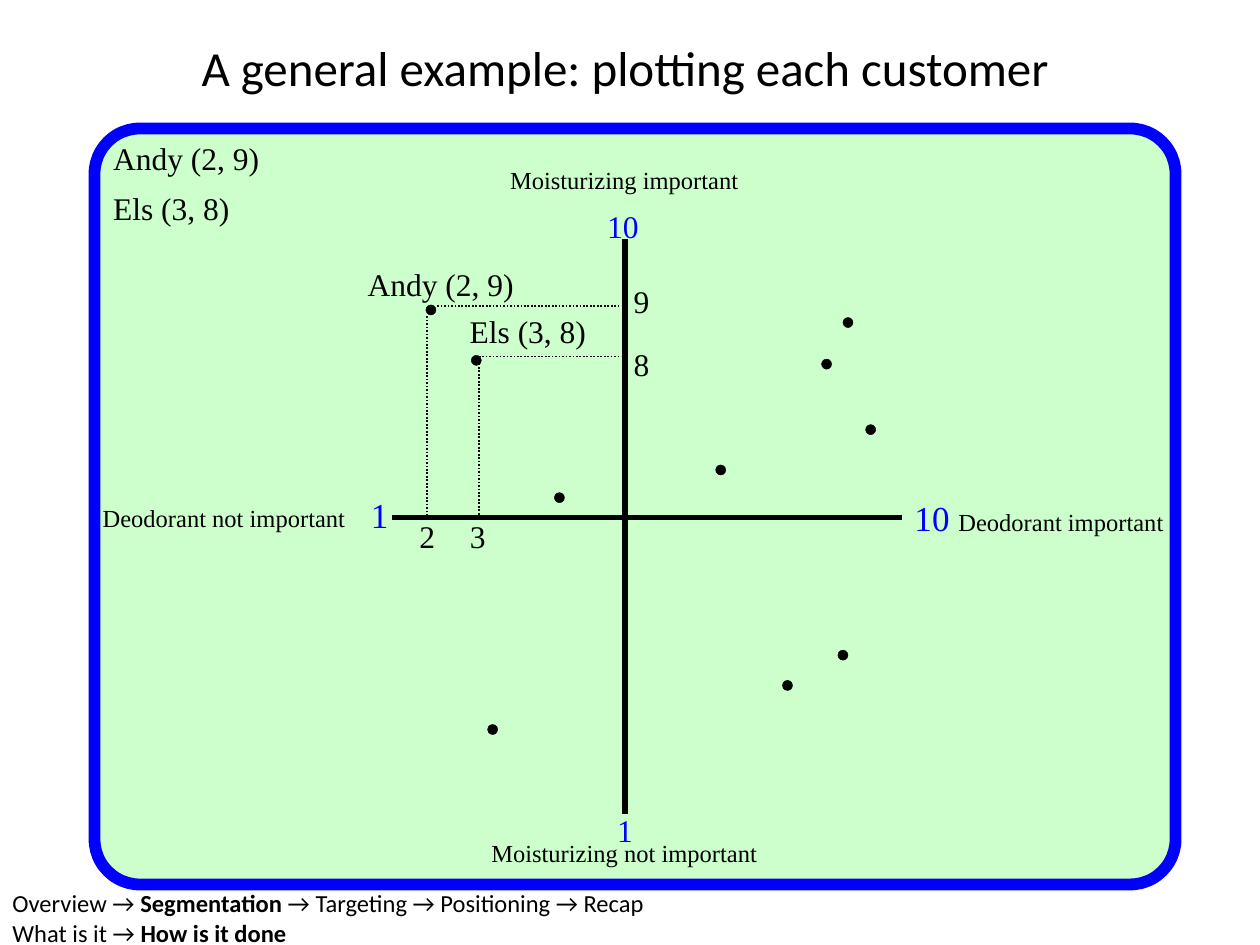
from typing import NamedTuple

from lxml.etree import SubElement
from pptx import Presentation
from pptx.dml.color import RGBColor
from pptx.enum.dml import MSO_LINE_DASH_STYLE as Dash
from pptx.enum.shapes import MSO_CONNECTOR as Connector, MSO_SHAPE as Shape
from pptx.enum.text import PP_ALIGN as Align
from pptx.oxml.ns import qn
from pptx.util import Inches, Pt

COLORS = {"black": "000000", "blue": "0000FF", "green": "CCFFCC"}
SERIF, SANS = "Times New Roman", "Calibri"
DOT_SIZE = 0.08
AXIS_X, AXIS_Y = 4.96, 4.11
TICK_LEFT = 4.93


class Span(NamedTuple):
    text: str
    size: float = 18
    color: str = "black"
    font: str = SERIF
    bold: bool = False


class Label(NamedTuple):
    left: float
    top: float
    width: float
    height: float
    lines: list[list[Span]]
    align: Align = Align.LEFT


class Customer(NamedTuple):
    name: str
    x: int
    y: int
    dot: tuple[float, float]
    label: tuple[float, float]
    guide_x: float
    guide_y: float
    guide_start: tuple[float, float]  # left end of the horizontal, top of the vertical
    tick_left: float
    tick_top: float
    list_top: float

    @property
    def caption(self) -> str:
        return f"{self.name} ({self.x}, {self.y})"


CUSTOMERS = [
    Customer("Els", 3, 8, (3.74, 2.82), (3.63, 2.43), 3.8, 2.83, (3.8, 2.83), 3.63, 2.69, 1.45),
    Customer("Andy", 2, 9, (3.38, 2.42), (2.82, 2.05), 3.39, 2.43, (3.47, 2.51), 3.23, 2.19, 1.05),
]
OTHER_DOTS = [
    (6.69, 2.52), (6.52, 2.85), (6.87, 3.37), (6.65, 5.16),
    (6.21, 5.4), (4.4, 3.91), (5.68, 3.69), (3.87, 5.75),
]
AXIS_LABELS = [
    Label(0.59, 3.94, 2.25, 0.34, [[Span("Deodorant not important", 14)]], Align.RIGHT),
    Label(2.78, 3.87, 0.4, 0.44, [[Span("1", 20, "blue")]], Align.RIGHT),
    Label(7.16, 3.89, 2.84, 0.44,
          [[Span("10 ", 20, "blue"), Span("Deodorant important", 14)]]),
    Label(3.66, 1.26, 2.59, 0.34, [[Span("Moisturizing important", 14)]], Align.CENTER),
    Label(3.66, 6.6, 2.59, 0.34, [[Span("Moisturizing not important", 14)]], Align.CENTER),
    Label(4.8, 6.39, 0.32, 0.39, [[Span("1", color="blue")]]),
    Label(4.72, 1.59, 0.49, 0.39, [[Span("10", color="blue")]]),
]
TITLE = Label(0.17, 0.25, 9.58, 0.57,
              [[Span("A general example: plotting each customer", 28, font=SANS)]], Align.CENTER)
FOOTER = Label(0, 7, 9.68, 0.57, [
    [Span("Overview → ", 14, font=SANS), Span("Segmentation", 14, font=SANS, bold=True),
     Span(" → Targeting → Positioning → Recap", 14, font=SANS)],
    [Span("What is it → ", 14, font=SANS), Span("How is it done", 14, font=SANS, bold=True)],
])


def rgb(name: str) -> RGBColor:
    return RGBColor.from_string(COLORS[name])


def add_label(page, label: Label) -> None:
    box = page.shapes.add_textbox(*map(Inches, label[:4]))
    frame = box.text_frame
    frame.word_wrap = True
    for index, spans in enumerate(label.lines):
        para = frame.add_paragraph() if index else frame.paragraphs[0]
        para.alignment = label.align
        for span in spans:
            run = para.add_run()
            run.text = span.text
            run.font.name = span.font
            run.font.size = Pt(span.size)
            run.font.bold = span.bold
            run.font.color.rgb = rgb(span.color)


def add_short_label(page, left: float, top: float, text: str, width: float = 0.32) -> None:
    add_label(page, Label(left, top, width, 0.39, [[Span(text)]]))


def add_line(page, start: tuple[float, float], end: tuple[float, float],
             width: float, dash: Dash | None = None) -> None:
    line = page.shapes.add_connector(Connector.STRAIGHT, *map(Inches, (*start, *end)))
    line.line.color.rgb = rgb("black")
    line.line.width = Pt(width)
    if dash is not None:
        line.line.dash_style = dash
    SubElement(line._element.spPr, qn("a:effectLst"))


def add_dot(page, left: float, top: float) -> None:
    dot = page.shapes.add_shape(Shape.OVAL, *map(Inches, (left, top, DOT_SIZE, DOT_SIZE)))
    dot.shadow.inherit = False
    dot.fill.solid()
    dot.fill.fore_color.rgb = rgb("black")
    dot.line.color.rgb = rgb("black")
    dot.line.width = Pt(0.25)


def add_panel(page) -> None:
    panel = page.shapes.add_shape(Shape.ROUNDED_RECTANGLE, *map(Inches, (0.75, 1.02, 8.58, 6)))
    panel.adjustments[0] = 0.06
    panel.shadow.inherit = False
    panel.fill.solid()
    panel.fill.fore_color.rgb = rgb("green")
    panel.line.color.rgb = rgb("blue")
    panel.line.width = Pt(6.75)


def add_customer(page, customer: Customer) -> None:
    """Draw the dot, its caption, its guides to both axes and its entry in the list."""
    left, top = customer.guide_start
    add_dot(page, *customer.dot)
    add_short_label(page, *customer.label, customer.caption, 1.54)
    add_line(page, (customer.guide_x, top), (customer.guide_x, AXIS_Y), 1, Dash.ROUND_DOT)
    add_line(page, (left, customer.guide_y), (TICK_LEFT, customer.guide_y), 1, Dash.ROUND_DOT)
    add_short_label(page, customer.tick_left, 4.05, str(customer.x))
    add_short_label(page, TICK_LEFT, customer.tick_top, str(customer.y))
    add_short_label(page, 0.8, customer.list_top, customer.caption, 1.54)


def main() -> None:
    deck = Presentation()
    deck.slide_width, deck.slide_height = Inches(10), Inches(7.5)
    page = deck.slides.add_slide(deck.slide_layouts[6])

    add_label(page, TITLE)
    add_panel(page)
    add_line(page, (3.11, AXIS_Y), (7.16, AXIS_Y), 3)
    for position in OTHER_DOTS:
        add_dot(page, *position)
    for customer in CUSTOMERS:
        add_customer(page, customer)
    add_line(page, (AXIS_X, 1.9), (AXIS_X, 6.46), 3)
    for label in AXIS_LABELS:
        add_label(page, label)
    add_label(page, FOOTER)

    deck.save("out.pptx")


if __name__ == "__main__":
    main()
